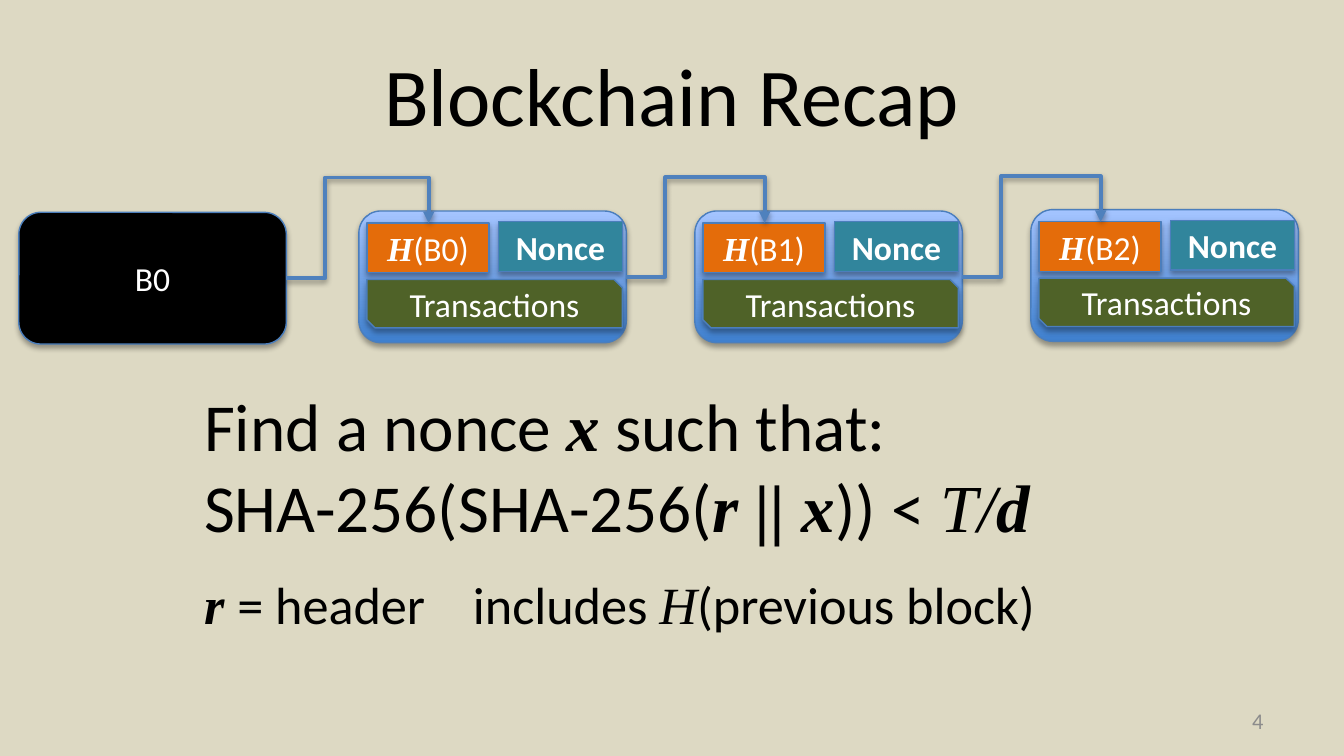
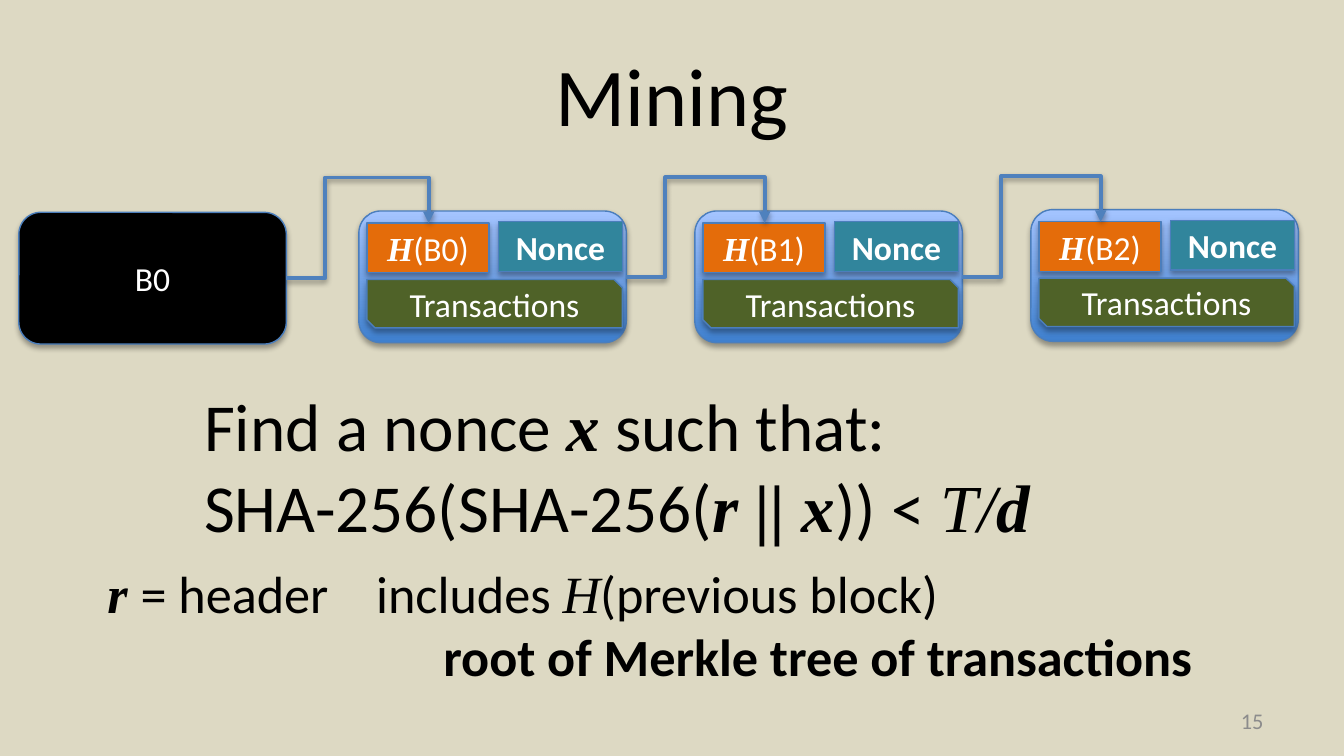
from lxml.etree import SubElement
from pptx import Presentation
from pptx.dml.color import RGBColor
from pptx.enum.shapes import MSO_CONNECTOR, MSO_SHAPE as Shape
from pptx.enum.text import MSO_ANCHOR as Anchor, PP_ALIGN as Align
from pptx.oxml.ns import qn
from pptx.util import Inches, Pt

SAND = RGBColor(0xDD, 0xD9, 0xC3)
BLACK = RGBColor(0, 0, 0)
WHITE = RGBColor(0xFF, 0xFF, 0xFF)
GREY = RGBColor(0x8C, 0x8C, 0x8C)
EDGE = RGBColor(0x4B, 0x7E, 0xBC)
LINK = RGBColor(0x4F, 0x81, 0xBD)
DEEP_BLUE = RGBColor(0x3F, 0x80, 0xCE)
PALE_BLUE = RGBColor(0xA4, 0xC4, 0xFF)
ORANGE = RGBColor(0xE4, 0x6C, 0x0A)
TEAL = RGBColor(0x31, 0x85, 0x9C)
OLIVE = RGBColor(0x4F, 0x62, 0x28)

SANS = "Calibri"
SERIF = "Times New Roman"
PLAIN = {}
BOLD = {"bold": True}
SYMBOL = {"name": SERIF, "italic": True}
VARIABLE = {"name": SERIF, "italic": True, "bold": True}

BLOCK_WIDTH, BLOCK_HEIGHT = 1.99, 0.98
GENESIS = (0.14, 1.58)
BLOCKS = [(2.67, 1.57), (5.17, 1.57), (7.67, 1.56)]

PUZZLE = [
    [("Find a nonce ", PLAIN), ("x", VARIABLE), (" such that:", PLAIN)],
    [("SHA-256(SHA-256(", PLAIN), ("r || x", VARIABLE), (")) < ", PLAIN),
     ("T/", SYMBOL), ("d", VARIABLE)],
]
HEADER = [("r ", VARIABLE), ("= header \tincludes ", PLAIN),
          ("H", SYMBOL), ("(previous block)", PLAIN)]
MERKLE = [("root of Merkle tree of transactions", BOLD)]


def write(frame, paragraphs, size=18, color=BLACK, align=Align.LEFT,
          anchor=Anchor.TOP, wrap=True):
    frame.word_wrap = wrap
    frame.vertical_anchor = anchor
    for index, spans in enumerate(paragraphs):
        para = frame.add_paragraph() if index else frame.paragraphs[0]
        para.alignment = align
        for text, style in spans:
            span = para.add_run()
            span.text = text
            span.font.size = Pt(size)
            span.font.color.rgb = color
            span.font.name = style.get("name", SANS)
            span.font.bold = style.get("bold", False)
            span.font.italic = style.get("italic", False)


def add_text(page, left, top, width, height, paragraphs, **text_format):
    box = page.shapes.add_textbox(Inches(left), Inches(top), Inches(width), Inches(height))
    write(box.text_frame, paragraphs, **text_format)
    return box


def cast_shadow(item, opacity, distance):
    effects = SubElement(item.element.spPr, qn("a:effectLst"))
    shadow = SubElement(effects, qn("a:outerShdw"), blurRad=str(Pt(3.1)),
                        dist=str(Pt(distance)), dir="5400000", rotWithShape="0")
    color = SubElement(shadow, qn("a:srgbClr"), val=str(BLACK))
    SubElement(color, qn("a:alpha"), val=str(opacity * 1000))


def add_box(page, kind, left, top, width, height, fill=None, spans=()):
    box = page.shapes.add_shape(kind, Inches(left), Inches(top), Inches(width), Inches(height))
    if fill is None:
        box.fill.gradient()
        box.fill.gradient_angle = 90
        for stop, color in zip(box.fill.gradient_stops, (DEEP_BLUE, PALE_BLUE)):
            stop.color.rgb = color
    else:
        box.fill.solid()
        box.fill.fore_color.rgb = fill
    box.line.color.rgb = EDGE
    box.line.width = Pt(0.75)
    cast_shadow(box, 35, 1.8)
    if spans:
        write(box.text_frame, [spans], color=WHITE, align=Align.CENTER, anchor=Anchor.MIDDLE)


def add_block(page, left, top, previous):
    add_box(page, Shape.ROUNDED_RECTANGLE, left, top, BLOCK_WIDTH, BLOCK_HEIGHT)
    add_box(page, Shape.RECTANGLE, left + 0.06, top + 0.09, 0.91, 0.37, ORANGE,
            [("H", VARIABLE), (f"({previous})", PLAIN)])
    add_box(page, Shape.RECTANGLE, left + 1.04, top + 0.08, 0.92, 0.37, TEAL,
            [("Nonce", BOLD)])
    add_box(page, Shape.SNIP_2_DIAG_RECTANGLE, left + 0.06, top + 0.51, 1.9, 0.36, OLIVE,
            [("Transactions", PLAIN)])


def add_link(page, source, target):
    start_x, start_y = source[0] + BLOCK_WIDTH, source[1] + BLOCK_HEIGHT / 2
    end_x, end_y = target[0] + 0.52, target[1] + 0.09
    link = page.shapes.add_connector(MSO_CONNECTOR.ELBOW, Inches(start_x), Inches(start_y),
                                     Inches(end_x), Inches(end_y))
    bends = (0.29 / (end_x - start_x), 1 + 0.34 / (start_y - end_y))
    geometry = link.element.spPr.find(qn("a:prstGeom"))
    geometry.set("prst", "bentConnector4")
    guides = geometry.find(qn("a:avLst"))
    for number, bend in enumerate(bends, 1):
        SubElement(guides, qn("a:gd"), name=f"adj{number}", fmla=f"val {round(bend * 100000)}")
    link.line.color.rgb = LINK
    link.line.width = Pt(2)
    SubElement(link.element.spPr.find(qn("a:ln")), qn("a:tailEnd"), type="triangle")
    cast_shadow(link, 38, 1.6)


def add_chain(page):
    add_box(page, Shape.ROUNDED_RECTANGLE, *GENESIS, BLOCK_WIDTH, BLOCK_HEIGHT, BLACK,
            [("B0", PLAIN)])
    source = GENESIS
    for index, block in enumerate(BLOCKS):
        add_block(page, *block, f"B{index}")
        add_link(page, source, block)
        source = block


def add_header_note(page, left, top, width, height, paragraphs):
    box = add_text(page, left, top, width, height, paragraphs, size=28, wrap=False)
    first, *others = box.text_frame.paragraphs
    stops = SubElement(first._p.get_or_add_pPr(), qn("a:tabLst"))
    SubElement(stops, qn("a:tab"), pos=str(Inches(2)), algn="l")
    for para in others:
        para._p.get_or_add_pPr().set("marL", str(Inches(2.5)))


def add_page(deck, layout, title, number):
    page = deck.slides.add_slide(layout)
    write(page.shapes.title.text_frame, [[(title, PLAIN)]], size=44,
          align=Align.CENTER, anchor=Anchor.MIDDLE)
    add_text(page, 7.17, 5.21, 2.33, 0.3, [[(number, PLAIN)]], size=12, color=GREY,
             align=Align.RIGHT, anchor=Anchor.MIDDLE)
    add_chain(page)
    add_text(page, 1.42, 2.81, 6.55, 1.31, PUZZLE, size=36, wrap=False)
    return page


def prepare_layout(deck):
    deck.slide_width = Inches(10)
    deck.slide_height = deck.slide_width * 9 // 16
    background = deck.slide_master.background.fill
    background.solid()
    background.fore_color.rgb = SAND
    layout = deck.slide_layouts.get_by_name("Title Only")
    title = layout.placeholders[0]
    title.left, title.top = Inches(0.5), Inches(0.23)
    title.width, title.height = Inches(9), Inches(0.94)
    return layout


def main():
    deck = Presentation()
    layout = prepare_layout(deck)
    recap = add_page(deck, layout, "Blockchain Recap", "4")
    add_header_note(recap, 1.42, 4.21, 6.59, 0.57, [HEADER])
    mining = add_page(deck, layout, "Mining", "15")
    add_header_note(mining, 0.7, 4.13, 8.41, 1.04, [HEADER, MERKLE])
    deck.save("out.pptx")


if __name__ == "__main__":
    main()
